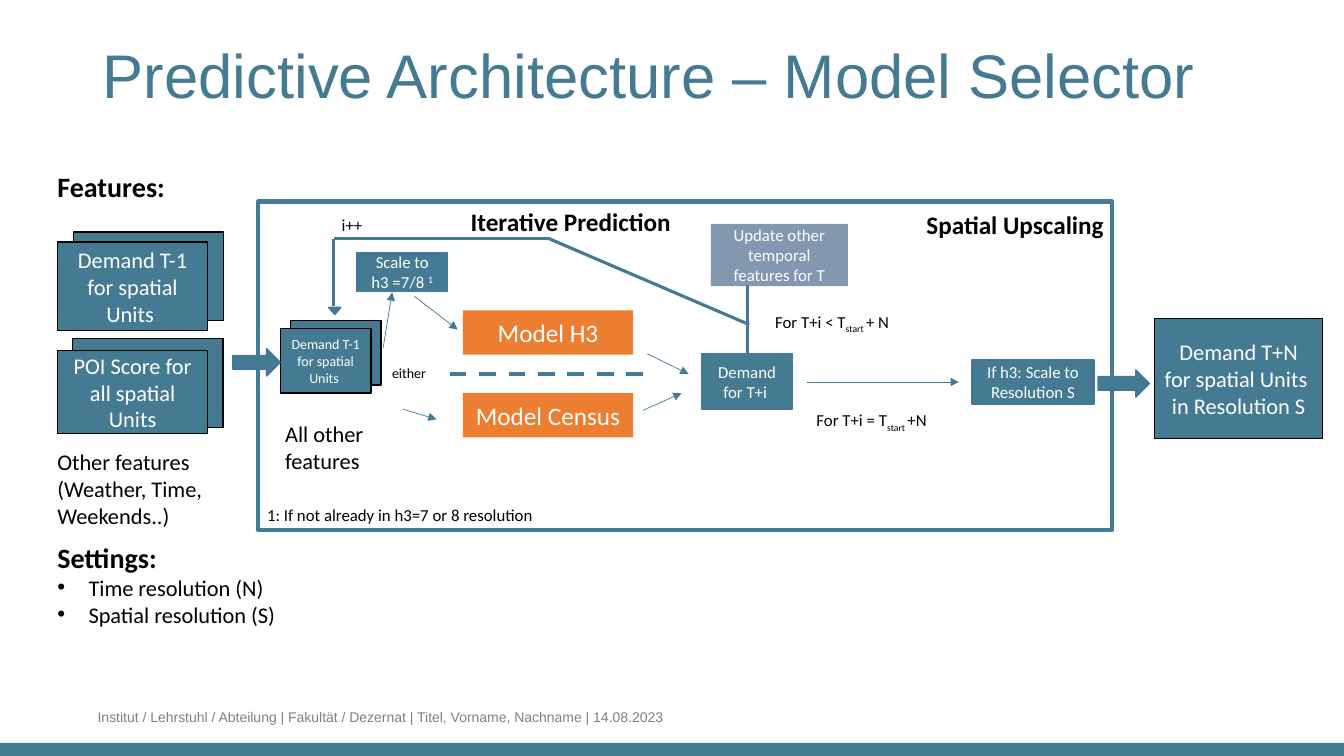
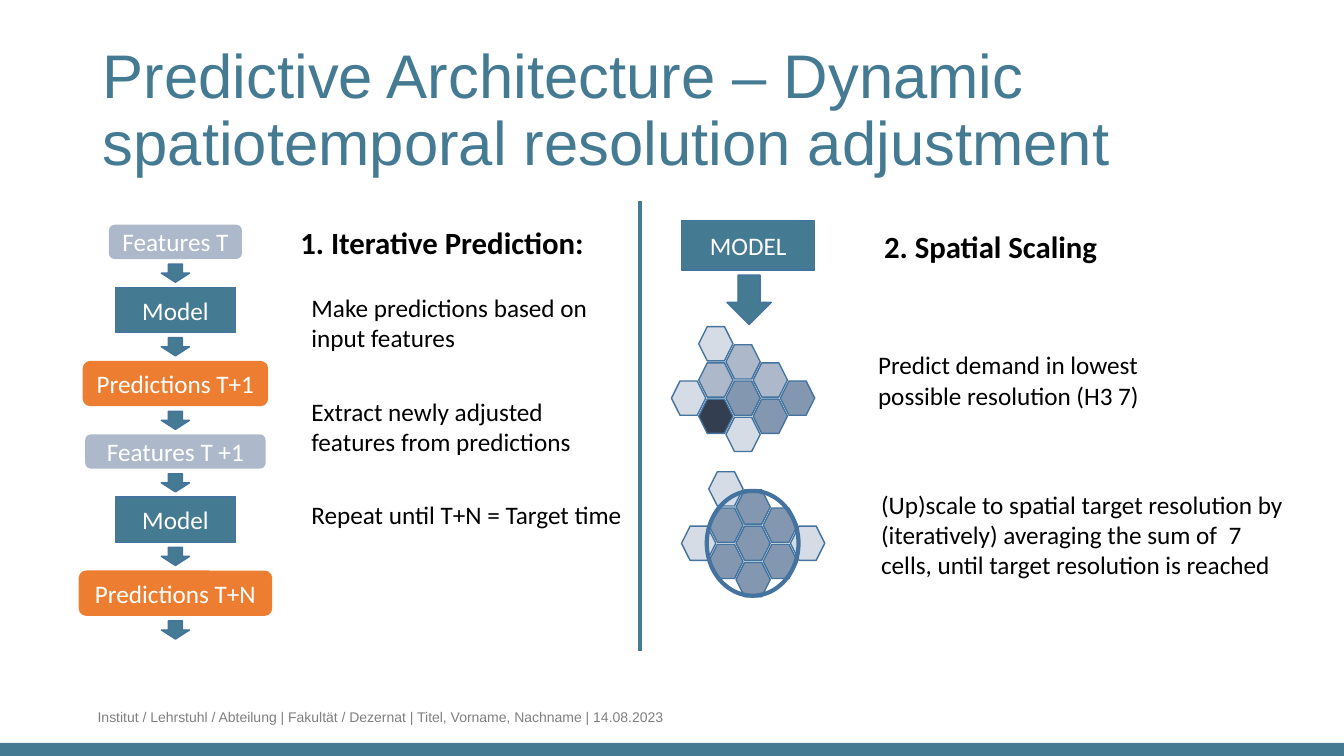
import dataclasses
import itertools

import lxml.etree
import pptx
import pptx.dml.color
import pptx.enum.dml
import pptx.enum.shapes
import pptx.enum.text
import pptx.oxml.ns
import pptx.util

Inches = pptx.util.Inches
Pt = pptx.util.Pt
KIND = pptx.enum.shapes.MSO_SHAPE
ALIGN = pptx.enum.text.PP_ALIGN
ANCHOR = pptx.enum.text.MSO_ANCHOR


@dataclasses.dataclass(frozen=True)
class Theme:
    teal: str = "457A93"
    edge: str = "43739E"
    orange: str = "ED7D31"
    steel: str = "8497B0"
    mist: str = "ADB9CA"
    pale: str = "D6DCE5"
    navy: str = "333F50"
    black: str = "000000"
    white: str = "FFFFFF"
    gray: str = "808080"
    body: str = "Calibri"
    head: str = "Arial"
    title: int = 44
    topic: int = 22
    label: int = 20
    large: int = 18
    mid: int = 16
    small: int = 12
    tiny: int = 10
    thick: float = 3
    loop: float = 2.25
    edging: float = 1
    thin: float = 0.5


T = Theme()

CELLS = [(-1, -1), (0, 0), (0, -2), (1, -1), (1, 1),
         (-1, 1), (0, 2), (2, 0), (-1, -3), (-2, 0)]


def tint(code):
    return pptx.dml.color.RGBColor.from_string(code)


def add_node(parent, tag, **attrs):
    return lxml.etree.SubElement(parent, pptx.oxml.ns.qn(tag), **attrs)


def style(run, size, color, bold=False, font=T.body):
    run.font.name = font
    run.font.size = Pt(size)
    run.font.bold = bold
    run.font.color.rgb = tint(color)


def write(para, text, size, color, bold=False, font=T.body):
    parts = [(text, 0)] if isinstance(text, str) else text
    for words, shift in parts:
        run = para.add_run()
        run.text = words
        style(run, size, color, bold, font)
        if shift:
            run._r.get_or_add_rPr().set("baseline", str(shift * 1000))


@dataclasses.dataclass
class Area:
    slide: object
    left: float
    top: float
    width: float
    height: float

    def place(self, x, y, w, h):
        return [Inches(v) for v in (self.left + x, self.top + y, w, h)]

    def shape(self, x, y, w, h, text="", size=T.large, kind=KIND.RECTANGLE,
              fill=T.teal, line=T.edge, weight=T.edging):
        item = self.slide.shapes.add_shape(kind, *self.place(x, y, w, h))
        item.shadow.inherit = False
        if fill:
            item.fill.solid()
            item.fill.fore_color.rgb = tint(fill)
        else:
            item.fill.background()
        if line:
            item.line.color.rgb = tint(line)
            item.line.width = Pt(weight)
        else:
            item.line.fill.background()
        if text:
            frame = item.text_frame
            frame.word_wrap = True
            frame.vertical_anchor = ANCHOR.MIDDLE
            frame.paragraphs[0].alignment = ALIGN.CENTER
            write(frame.paragraphs[0], text, size, T.white)
        return item

    def text(self, x, y, w, h, text, size, bold=False, color=T.black, font=T.body):
        item = self.slide.shapes.add_textbox(*self.place(x, y, w, h))
        item.text_frame.word_wrap = True
        write(item.text_frame.paragraphs[0], text, size, color, bold, font)
        return item

    def line(self, start, end, weight=T.thin, head=False, dash=False):
        ends = [Inches(v) for x, y in (start, end)
                for v in (self.left + x, self.top + y)]
        item = self.slide.shapes.add_connector(
            pptx.enum.shapes.MSO_CONNECTOR.STRAIGHT, *ends)
        item.line.color.rgb = tint(T.teal)
        item.line.width = Pt(weight)
        if dash:
            item.line.dash_style = pptx.enum.dml.MSO_LINE.DASH
        props = item._element.spPr
        if head:
            add_node(props.find(pptx.oxml.ns.qn("a:ln")), "a:tailEnd", type="triangle")
        add_node(props, "a:effectLst")

    def stack(self, x, y, w, h, text, size, dx, dy, back):
        self.shape(x + dx, y - dy, w, back, line=T.black)
        self.shape(x, y, w, h, text, size, line=T.black)


def brand(slide, layout):
    page = Area(slide, 0, 0, 13.33, 7.5)
    band = page.shape(0, 7.37, page.width, 0.13, line=None)
    foot = page.text(
        0.87, 6.98, 8.56, 0.27,
        "Institut / Lehrstuhl / Abteilung | Fakultät / Dezernat | "
        "Titel, Vorname, Nachname | 14.08.2023",
        T.tiny, color=T.gray, font=T.head)
    for item in (band, foot):
        layout.shapes.element.append(item.element)


def set_title(slide, text):
    item = slide.shapes.title
    item.left, item.top, item.width, item.height = [
        Inches(v) for v in (0.92, 0.4, 11.5, 1.45)]
    frame = item.text_frame
    frame.text = text
    frame.word_wrap = True
    frame.auto_size = pptx.enum.text.MSO_AUTO_SIZE.NONE
    frame.vertical_anchor = ANCHOR.TOP
    para = frame.paragraphs[0]
    para.alignment = ALIGN.LEFT
    para.line_spacing = 0.9
    style(para.runs[0], T.title, T.teal, font=T.head)


def draw_input(area):
    area.text(0, 0, 1.93, 0.44, "Features:", T.label, True)
    area.stack(0.1, 0.77, 1.49, 0.88, "Demand T-1 for spatial Units ",
               T.mid, 0.16, 0.1, 0.88)
    area.stack(0.1, 1.85, 1.49, 0.82, "POI Score for all spatial Units",
               T.mid, 0.15, 0.12, 0.88)
    area.text(0, 2.77, 2, 0.91, "Other features (Weather, Time, Weekends..)", T.mid)
    box = area.text(0, 3.68, 2.47, 0.98, "Settings:", T.label, True)
    for words in ("Time resolution (N)", "Spatial resolution (S)"):
        para = box.text_frame.add_paragraph()
        write(para, words, T.mid, T.black)
        props = para._p.get_or_add_pPr()
        props.set("marL", str(Inches(0.31)))
        props.set("indent", str(-Inches(0.31)))
        add_node(props, "a:buFont", typeface="Arial")
        add_node(props, "a:buChar", char="•")


def draw_frame(area):
    area.shape(0, 0, area.width, area.height, fill=None, line=T.teal, weight=T.thick)
    area.text(2.01, 0, 2.5, 0.4, "Iterative Prediction", T.large, True)
    area.text(6.53, 0.03, 2.2, 0.4, "Spatial Upscaling", T.large, True)
    area.text(-0.01, 2.96, 6.05, 0.3,
              "1: If not already in h3=7 or 8 resolution", T.small)


def draw_model(area):
    for y, name in ((1.08, "Model H3"), (1.9, "Model Census")):
        area.shape(2.03, y, 1.69, 0.44, name, fill=T.orange, line=None)
    area.line((1.9, 1.71), (3.93, 1.71), T.thick, dash=True)
    area.stack(0.22, 1.26, 0.9, 0.64, "Demand T-1 for spatial Units ",
               T.tiny, 0.1, 0.08, 0.64)
    area.text(0.17, 2.12, 1.08, 0.64, "All other features", T.mid)
    area.text(1.23, 1.57, 0.59, 0.27, "either", T.tiny)
    area.shape(0.98, 0.51, 0.9, 0.38, [("Scale to h3 =7/8 ", 0), ("1", 30)], T.small)
    for start, end in (((1.24, 1.45), (1.33, 0.9)), ((1.44, 2.06), (1.77, 2.16)),
                       ((1.55, 0.94), (1.98, 1.27)), ((3.86, 1.51), (4.27, 1.71)),
                       ((3.82, 2.07), (4.2, 1.9)), ((5.44, 1.79), (6.95, 1.79))):
        area.line(start, end, head=True)


def draw_loop(area):
    area.shape(4.4, 1.51, 0.9, 0.55, "Demand for T+i ", T.small)
    area.shape(4.49, 0.22, 1.36, 0.62, "Update other temporal features for T",
               T.small, fill=T.steel, line=None)
    area.line((4.85, 0.83), (4.85, 1.52), T.loop)
    route = [(4.87, 1.22), (2.89, 0.37), (0.75, 0.37), (0.75, 1.04)]
    for start, end in itertools.pairwise(route):
        area.line(start, end, T.loop)
    tip = area.shape(0.7, 1.05, 0.12, 0.07, kind=KIND.ISOSCELES_TRIANGLE)
    tip.rotation = 180
    area.text(0.73, 0.08, 0.95, 0.3, "i++", T.small)
    for x, y, w, test, end in ((5.03, 1.04, 1.36, "<", "+ N"),
                               (5.44, 2.02, 1.33, "=", "+N")):
        parts = [(f"For T+i {test} T", 0), ("start ", -25), (end, 0)]
        area.text(x, y, w, 0.3, parts, T.small)


def draw_output(area):
    area.shape(0, 0.41, 1.21, 0.44, "If h3: Scale to Resolution S", T.small)
    area.shape(1.25, 0.51, 0.51, 0.27, kind=KIND.RIGHT_ARROW)
    area.shape(1.81, 0, 1.67, 1.19,
               "Demand T+N for spatial Units  in Resolution S", T.mid, line=T.black)


def draw_steps(area):
    round_box = KIND.ROUNDED_RECTANGLE
    feature = (0.34, round_box, T.mist, None)
    model = (0.45, KIND.RECTANGLE, T.teal, T.edge)
    result = (0.45, round_box, T.orange, None)
    steps = [("Features T", 1.32, feature), ("Model", 1.19, model),
             ("Predictions T+1", 1.84, result), ("Features T +1", 1.79, feature),
             ("Model", 1.19, model), ("Predictions T+N", 1.92, result)]
    gap, tall, wide = 0.05, 0.18, 0.28
    y = 0
    for name, width, (height, kind, fill, line) in steps:
        area.shape((area.width - width) / 2, y, width, height, name,
                   kind=kind, fill=fill, line=line)
        y += height + gap
        area.shape((area.width - wide) / 2, y, wide, tall, kind=KIND.DOWN_ARROW)
        y += tall + gap


def draw_notes(area, title, notes):
    x, y, words = title
    area.text(x, y, 3.22, 0.47, words, T.topic, True)
    for x, y, width, height, words in notes:
        area.text(x, y, width, height, words, T.large)


def draw_cells(area, fills):
    size = 0.34
    for (col, row), fill in zip(CELLS, fills):
        area.shape((area.width - size) / 2 + col * 0.27,
                   (area.height - size) / 2 + row * 0.18,
                   size, size, kind=KIND.HEXAGON, fill=fill)


def draw_scale(area):
    area.shape(0.09, 0, 1.32, 0.49, "MODEL")
    area.shape(0.54, 0.54, 0.44, 0.49, kind=KIND.DOWN_ARROW)
    fills = [T.mist, T.steel, T.mist, T.mist, T.steel,
             T.navy, T.pale, T.steel, T.pale, T.pale]
    left, top = area.left, area.top
    draw_cells(Area(area.slide, left, top + 1.06, 1.4, 1.4), fills)
    draw_cells(Area(area.slide, left + 0.1, top + 2.5, 1.4, 1.4),
               [T.steel] * 7 + [T.pale] * 3)
    area.shape(0.34, 2.68, 0.91, 1.04, kind=KIND.OVAL, fill=None, weight=T.thick)


def build_model(slide):
    set_title(slide, "Predictive Architecture – Model Selector")
    draw_input(Area(slide, 0.47, 1.63, 2.47, 4.66))
    panel = Area(slide, 2.56, 2, 8.47, 3.26)
    draw_frame(panel)
    draw_model(panel)
    draw_loop(panel)
    draw_output(Area(slide, 9.64, 3.16, 3.48, 1.19))
    panel.shape(-0.25, 1.46, 0.47, 0.27, kind=KIND.RIGHT_ARROW)


def build_scale(slide):
    set_title(slide, "Predictive Architecture – Dynamic "
                     "spatiotemporal resolution adjustment")
    draw_steps(Area(slide, 0.78, 2.23, 1.92, 4.13))
    draw_notes(Area(slide, 2.88, 2.17, 3.46, 3.13), (0, 0, "1. Iterative Prediction:"), [
        (0.11, 0.68, 3.35, 0.71, "Make predictions based on input features"),
        (0.11, 1.71, 3.35, 0.71, "Extract newly adjusted features from predictions"),
        (0.11, 2.73, 3.35, 0.4, "Repeat until T+N = Target time")])
    draw_scale(Area(slide, 6.67, 2.19, 1.5, 3.73))
    Area(slide, 6.35, 1.99, 0, 4.47).line((0, 0), (0, 4.47), T.thick)
    draw_notes(Area(slide, 8.61, 2.21, 4.35, 3.6), (0.06, 0, "2. Spatial Scaling"), [
        (0, 1.21, 3.35, 0.71, "Predict demand in lowest possible resolution (H3 7)"),
        (0.03, 2.59, 4.32, 1.01,
         "(Up)scale to spatial target resolution by (iteratively) averaging "
         "the sum of  7 cells, until target resolution is reached")])


def main():
    deck = pptx.Presentation()
    deck.slide_width, deck.slide_height = Inches(13.33), Inches(7.5)
    layout = deck.slide_layouts[5]
    slides = [deck.slides.add_slide(layout) for _ in range(2)]
    brand(slides[0], layout)
    build_model(slides[0])
    build_scale(slides[1])
    deck.save("out.pptx")


if __name__ == "__main__":
    main()
